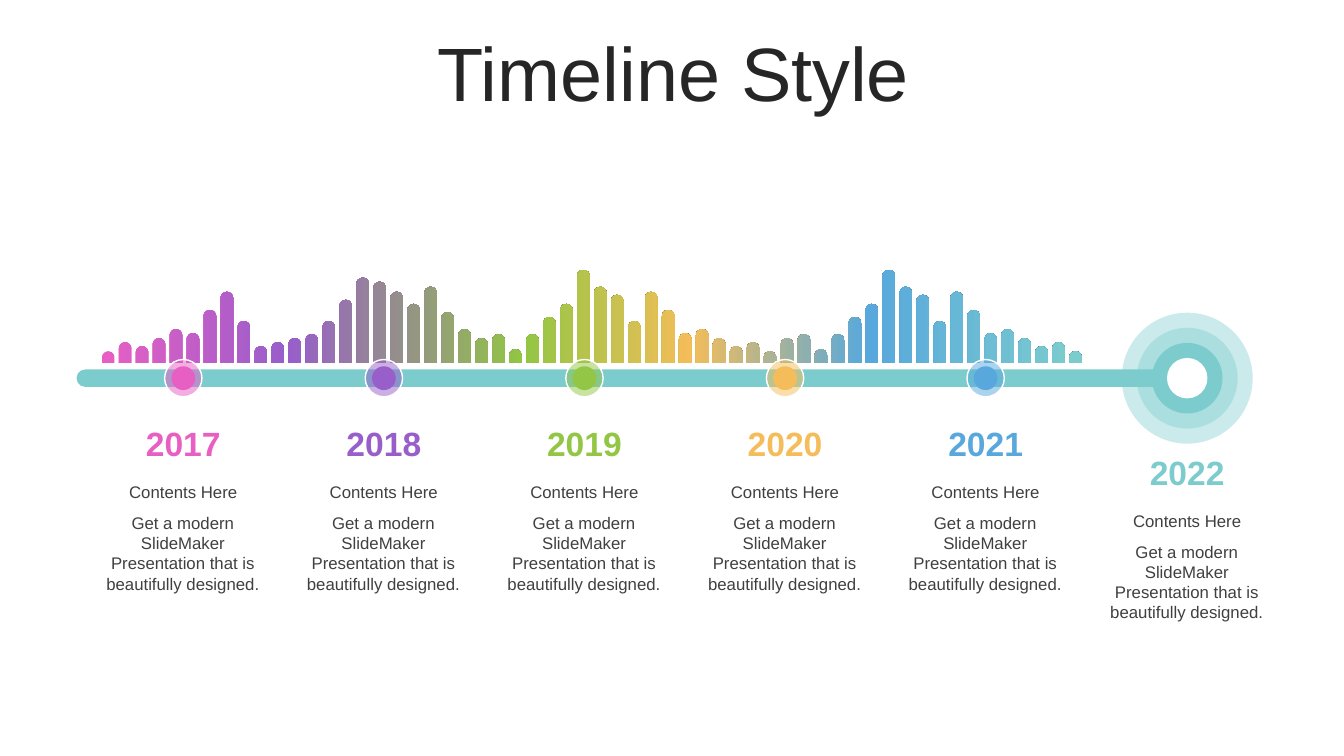
import math

import lxml.etree
import pptx
import pptx.dml.color
import pptx.enum.shapes
import pptx.enum.text
import pptx.oxml.ns
import pptx.util

Cm = pptx.util.Cm
Pt = pptx.util.Pt
Kind = pptx.enum.shapes.MSO_SHAPE
qn = pptx.oxml.ns.qn

HUES = {
    "pink": "E85FC4", "violet": "985ECA", "green": "92C644",
    "gold": "F4BD59", "blue": "58A8DD", "teal": "7CCCCD",
    "white": "FFFFFF", "title": "262626", "text": "404040",
}
YEARS = {"2017": "pink", "2018": "violet", "2019": "green",
         "2020": "gold", "2021": "blue"}
STOPS = {0: "pink", 19: "violet", 43: "green", 60: "gold", 78: "blue", 100: "teal"}
HEAD = "Contents Here"
BODY = "Get a modern SlideMaker Presentation that is beautifully designed."

# Bar heights in hundredths of an inch, left to right
BARS = [
    12, 21, 17, 25, 34, 30, 53, 71, 42, 17, 21, 25, 29, 42, 63, 85, 81, 71, 59, 76,
    51, 34, 25, 29, 14, 29, 46, 59, 93, 76, 68, 42, 71, 53, 30, 34, 25, 17, 21, 12,
    25, 29, 14, 29, 46, 59, 93, 76, 68, 42, 71, 53, 30, 34, 25, 17, 21, 12,
]


def hue(name):
    return pptx.dml.color.RGBColor.from_string(HUES[name])


def shape(parts, kind, left, top, width, height, color, alpha=100):
    item = parts.add_shape(kind, Cm(left), Cm(top), Cm(width), Cm(height))
    item.shadow.inherit = False
    item.fill.solid()
    item.fill.fore_color.rgb = hue(color)
    item.line.fill.background()
    if alpha < 100:
        tint = item.fill._xPr.find(".//" + qn("a:srgbClr"))
        lxml.etree.SubElement(tint, qn("a:alpha"), val=str(alpha * 1000))
    return item


def disc(parts, x, y, size, color, alpha=100):
    """Place a circle by its centre."""
    return shape(parts, Kind.OVAL, x - size / 2, y - size / 2, size, size, color, alpha)


def label(parts, text, left, top, width, height, size, color, bold=False):
    box = parts.add_textbox(Cm(left), Cm(top), Cm(width), Cm(height))
    frame = box.text_frame
    frame.word_wrap = True
    para = frame.paragraphs[0]
    para.text = text
    para.alignment = pptx.enum.text.PP_ALIGN.CENTER
    para.font.name = "Arial"
    para.font.size = Pt(size)
    para.font.bold = bold
    para.font.color.rgb = hue(color)
    return frame


def title(parts, left, top, width, height):
    frame = label(parts, "Timeline Style", left, top, width, height, 54, "title")
    frame.vertical_anchor = pptx.enum.text.MSO_ANCHOR.MIDDLE
    frame.paragraphs[0].line_spacing = 0.9


def skyline(parts, left, base, width):
    """Draw all bars as one outline, so that one gradient runs across them."""
    thick = 0.31
    step = (width - thick) / (len(BARS) - 1)
    rad = thick / 2
    pen = None
    for i, size in enumerate(BARS):
        x = left + i * step
        top = base - size * 2.54 / 100
        arc = [(x + rad - rad * math.cos(t), top + rad - rad * math.sin(t))
               for t in (math.pi * k / 12 for k in range(13))]
        dots = [(Cm(a), Cm(b)) for a, b in arc + [(x + thick, base)]]
        if pen is None:
            pen = parts.build_freeform(Cm(x), Cm(base))
        else:
            pen.move_to(Cm(x), Cm(base))
        pen.add_line_segments(dots, close=True)
    bars = pen.convert_to_shape()
    bars.shadow.inherit = False
    bars.line.fill.background()
    bars.fill.gradient()
    bars.fill.gradient_angle = 0
    stops = bars.fill._xPr.find(".//" + qn("a:gsLst"))
    for old in list(stops):
        stops.remove(old)
    for pos, name in STOPS.items():
        stop = lxml.etree.SubElement(stops, qn("a:gs"), pos=str(pos * 1000))
        lxml.etree.SubElement(stop, qn("a:srgbClr"), val=HUES[name])


def rings(parts, x, y):
    for size, alpha in ((3.3, 40), (2.54, 40), (1.78, 100)):
        disc(parts, x, y, size, "teal", alpha)


def rail(parts, left, y, width):
    bar = shape(parts, Kind.ROUNDED_RECTANGLE, left, y - 0.22, width, 0.44, "teal")
    bar.adjustments[0] = 0.5


def marker(parts, x, y, color):
    group = parts.add_group_shape().shapes
    halo = disc(group, x, y, 0.94, color, 50)
    halo.line.color.rgb = hue("white")
    halo.line.width = Pt(1)
    disc(group, x, y, 0.6, color)


def entry(parts, x, top, year, color):
    """Place a year and its two texts, centred on x."""
    label(parts, year, x - 1.64, top, 3.28, 1.27, 24, color, True)
    group = parts.add_group_shape().shapes
    label(group, HEAD, x - 2.31, top + 1.48, 4.62, 0.77, 12, "text")
    label(group, BODY, x - 2.31, top + 2.26, 4.6, 2.31, 12, "text")


def timeline(parts, left, y, width):
    end = left + width
    rings(parts, end, y)
    skyline(parts, left + 0.64, y - 0.37, 24.69)
    disc(parts, end, y, 1.02, "white")
    rail(parts, left, y, width - 0.51)
    for i, (year, color) in enumerate(YEARS.items()):
        x = left + 2.69 + i * 5.055
        marker(parts, x, y, color)
        entry(parts, x, y + 1.01, year, color)
    entry(parts, end, y + 1.73, "2022", "teal")


def main():
    deck = pptx.Presentation()
    deck.slide_width = Cm(33.87)
    deck.slide_height = Cm(19.05)
    parts = deck.slides.add_slide(deck.slide_layouts[6]).shapes
    title(parts, 0.89, 0.94, 32.16, 2.01)
    timeline(parts, 1.93, 9.53, 27.99)
    deck.save("out.pptx")


if __name__ == "__main__":
    main()
